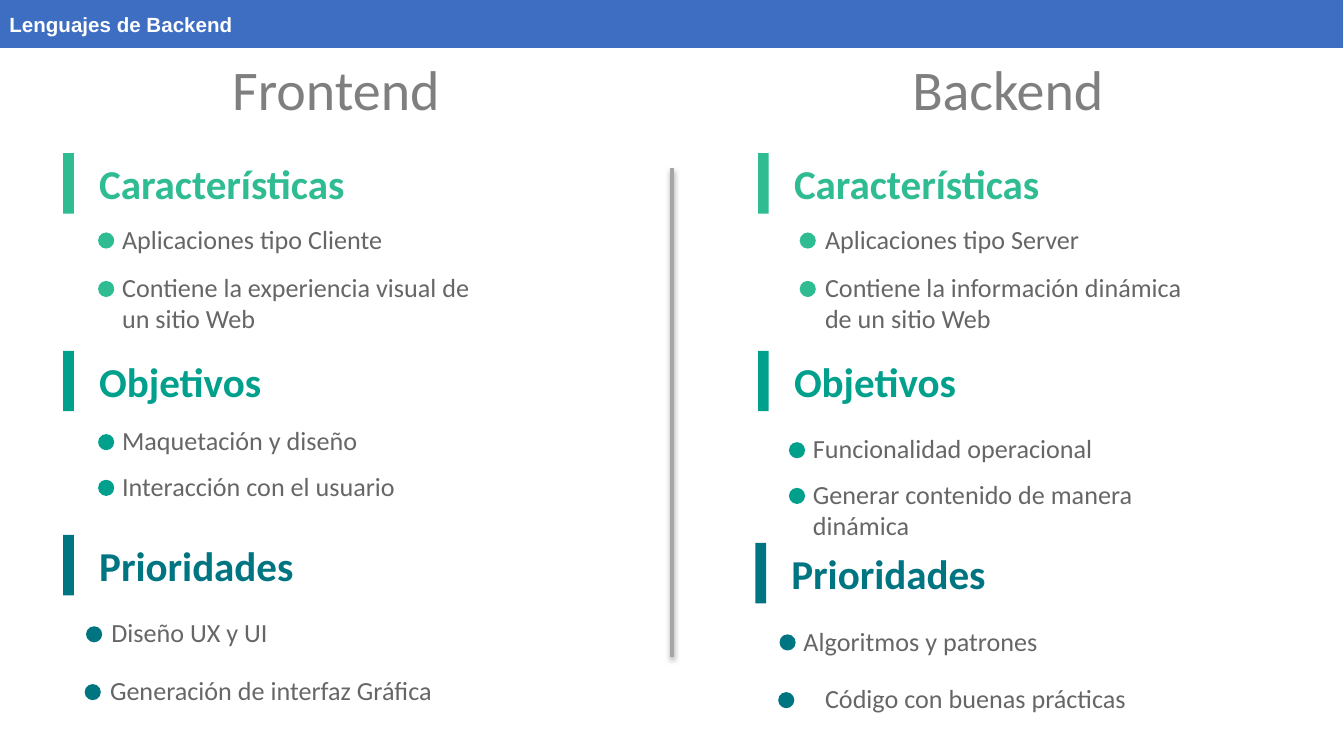
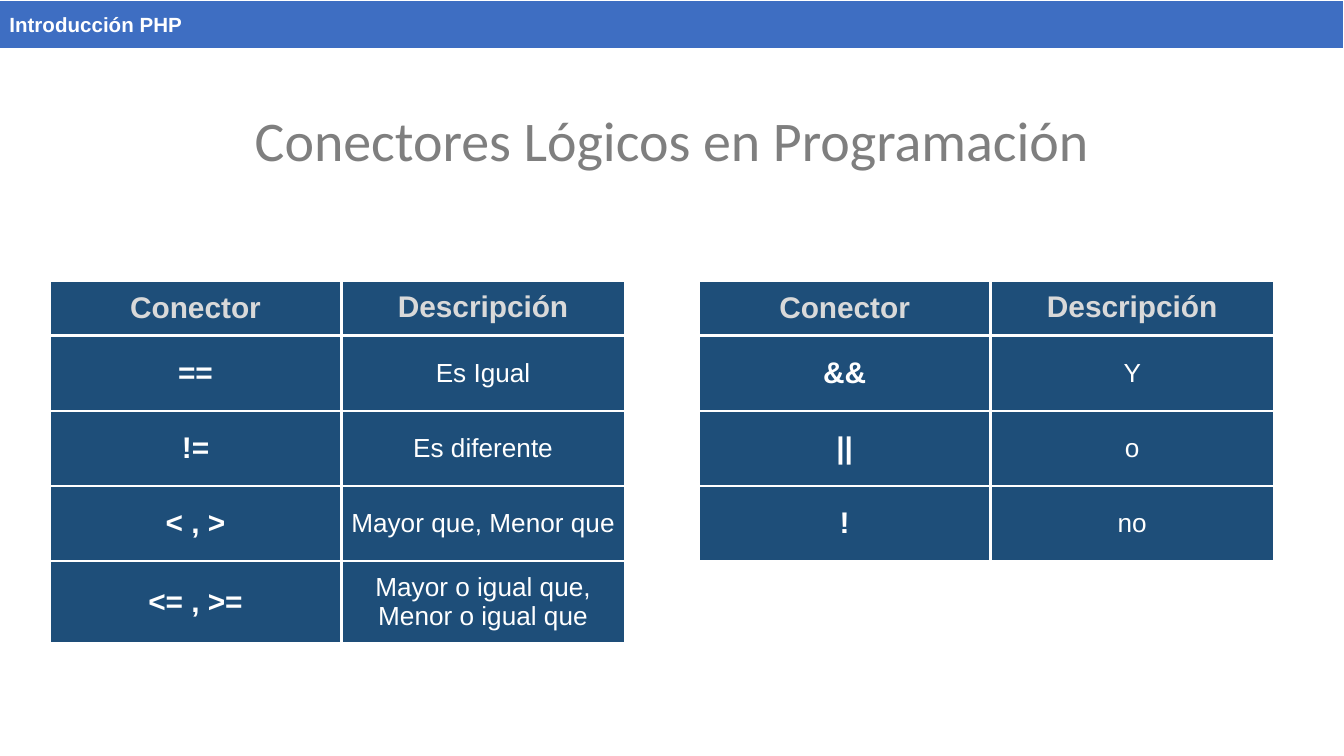
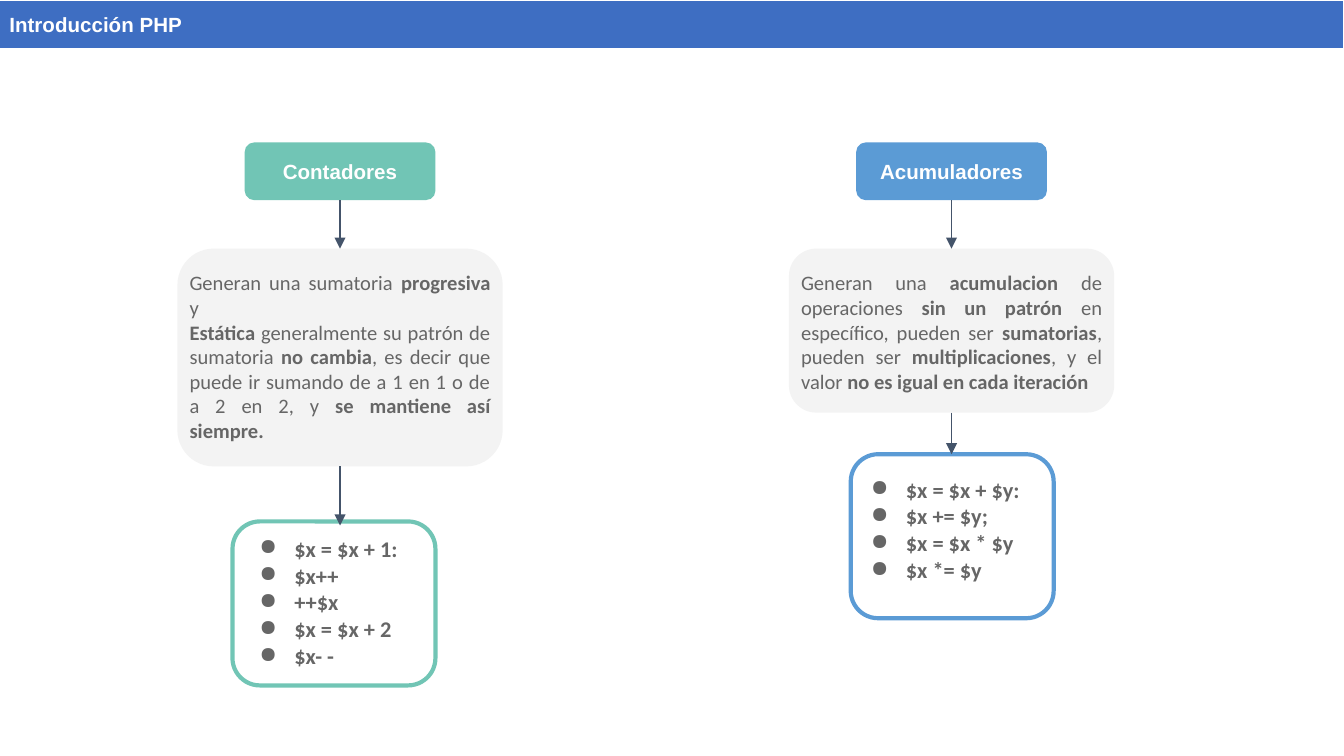
from lxml import etree
from pptx import Presentation
from pptx import util as u
from pptx.dml.color import RGBColor
from pptx.enum import shapes, text
from pptx.oxml import parse_xml
from pptx.oxml.ns import nsdecls, qn

PX = 9144  # EMU in one px, 100 px to the inch
BLUE, NAVY, WHITE = "3E6EC2", "1E4E79", "FFFFFF"
TITLE_GRAY, BODY_GRAY, PALE_GRAY, HEADER_GRAY = "7F7F7F", "666666", "F3F3F3", "D9D9D9"
MINT, TEAL, PETROL = "2FBC92", "00A08C", "007582"
RULE_GRAY, ARROW = "A5A5A5", "44546A"
RECT, ROUND, DOT = (shapes.MSO_SHAPE.RECTANGLE, shapes.MSO_SHAPE.ROUNDED_RECTANGLE,
                    shapes.MSO_SHAPE.OVAL)
CENTER, JUSTIFY = text.PP_ALIGN.CENTER, text.PP_ALIGN.JUSTIFY
MIDDLE = text.MSO_ANCHOR.MIDDLE
color = RGBColor.from_string


def add_box(page, preset, area, fill=None, line=None, weight=0.75):
    area = [n * PX for n in area]
    box = page.shapes.add_shape(preset, *area)
    box.shadow.inherit = False
    if fill:
        box.fill.solid()
        box.fill.fore_color.rgb = color(fill)
    else:
        box.fill.background()
    if line:
        box.line.color.rgb = color(line)
        box.line.width = u.Pt(weight)
    else:
        box.line.fill.background()
    return box


def write(page, area, lines, size, ink, font="Calibri", bold=False, align=None,
          inset=(7, 7), anchor=None, spacing=None, bullet=None, box=None):
    """Write lines into box, or into a new text box; _underscores_ enclose bold words."""
    box = box or page.shapes.add_textbox(*[n * PX for n in area])
    frame = box.text_frame
    frame.word_wrap = True
    frame.margin_left = frame.margin_right = inset[0] * PX
    frame.margin_top = frame.margin_bottom = inset[1] * PX
    if anchor is not None:
        frame.vertical_anchor = anchor
    for i, line in enumerate(lines):
        para = frame.paragraphs[0] if i == 0 else frame.add_paragraph()
        for j, words in enumerate(line.split("_")):
            if words:
                span = para.add_run()
                span.text = words
                if j % 2:
                    span.font.bold = True
        para.alignment = align
        if spacing:
            para.line_spacing = spacing
        if bullet:
            props = para._p.get_or_add_pPr()
            props.set("marL", str(38 * PX))
            props.set("indent", str(-26 * PX))
            tint = etree.SubElement(props, qn("a:buClr"))
            etree.SubElement(tint, qn("a:srgbClr"), val=ink)
            etree.SubElement(props, qn("a:buChar"), char=bullet)
        para.font.name = font
        para.font.size = u.Pt(size)
        para.font.bold = bold
        para.font.color.rgb = color(ink)


deck = Presentation()
deck.slide_width, deck.slide_height = 1000 * PX, u.Emu(5143500)

# Band and title of every slide
headers = [
    ("Lenguajes de Backend", -9, [("Frontend", (0, 35, 500, 67)),
                                  ("Backend", (500, 35, 500, 67))]),
    ("Introducción PHP", 0, [("Conectores Lógicos en Programación", (110, 73, 780, 67))]),
    ("Introducción PHP", 0, []),
]
pages = []
for label, band_top, titles in headers:
    page = deck.slides.add_slide(deck.slide_layouts[6])
    add_box(page, RECT, (-5, band_top, 1005, 36 - band_top), BLUE, WHITE)
    write(page, (0, 5, 1000, 26), [label], 11, WHITE, "Arial", True, inset=(7, 4))
    for title, area in titles:
        write(page, area, [title], 30, TITLE_GRAY, align=CENTER, inset=(7, 4),
              anchor=MIDDLE, spacing=0.9)
    pages.append(page)
compare_page, tables_page, flow_page = pages

# Frontend and backend: heading, bar position, then (dot x, dot y, text gap, item)
sections = [
    ("Características", MINT, 47, 114, [
        (73, 173, 8, "Aplicaciones tipo Cliente"),
        (73, 209, 8, "Contiene la experiencia visual de un sitio Web")]),
    ("Objetivos", TEAL, 47, 261, [
        (73, 323, 8, "Maquetación y diseño"),
        (73, 357, 8, "Interacción con el usuario")]),
    ("Prioridades", PETROL, 47, 398, [
        (64, 466, 9, "Diseño UX y UI"),
        (63, 509, 9, "Generación de interfaz Gráfica")]),
    ("Características", MINT, 564, 114, [
        (595, 173, 9, "Aplicaciones tipo Server"),
        (595, 209, 9, "Contiene la información dinámica de un sitio Web")]),
    ("Objetivos", TEAL, 564, 261, [
        (587, 329, 8, "Funcionalidad operacional"),
        (587, 363, 8, "Generar contenido de manera dinámica")]),
    ("Prioridades", PETROL, 562, 404, [
        (580, 472, 8, "Algoritmos y patrones"),
        (579, 515, 25, "Código con buenas prácticas")]),
]
for heading, tint, left, top, items in sections:
    add_box(compare_page, RECT, (left, top, 8, 45), tint)
    write(compare_page, (left + 17, top - 6, 214, 57), [heading], 22, tint, bold=True,
          inset=(10, 10))
    for dot_x, dot_y, gap, item in items:
        add_box(compare_page, DOT, (dot_x, dot_y, 12, 12), tint)
        write(compare_page, (dot_x + gap, dot_y - 17, 302, 44), [item], 14, BODY_GRAY,
              inset=(10, 10))

# Tables of connectors
HEADINGS = ("Conector", "Descripción")
tables = [
    (37, [HEADINGS, ("==", "Es Igual"), ("!=", "Es diferente"),
          ("< , >", "Mayor que, Menor que"),
          ("<= , >=", "Mayor o igual que, Menor o igual que")]),
    (520, [HEADINGS, ("&&", "Y"), ("||", "o"), ("!", "no")]),
]
for left, rows in tables:
    heights = [37] + [56] * (len(rows) - 1)
    table = tables_page.shapes.add_table(len(rows), 2, left * PX, 209 * PX, 428 * PX,
                                         sum(heights) * PX).table
    table.columns[0].width, table.columns[1].width = 217 * PX, 211 * PX
    for r, row in enumerate(rows):
        table.rows[r].height = heights[r] * PX
        for c, words in enumerate(row):
            cell = table.cell(r, c)
            cell.margin_left = cell.margin_right = 7 * PX
            cell.margin_top = cell.margin_bottom = 7 * PX
            is_top = r == 0 and c == 1
            cell.vertical_anchor = text.MSO_ANCHOR.TOP if is_top else MIDDLE
            for side in ("lnL", "lnR", "lnT", "lnB"):
                cell._tc.get_or_add_tcPr().append(parse_xml(
                    f'<a:{side} {nsdecls("a")} w="{u.Pt(1.5)}"><a:solidFill>'
                    f'<a:srgbClr val="{WHITE}"/></a:solidFill></a:{side}>'))
            cell.fill.solid()
            cell.fill.fore_color.rgb = color(NAVY)
            cell.text = words
            para = cell.text_frame.paragraphs[0]
            para.alignment = CENTER
            is_strong = r == 0 or c == 0
            para.font.name = "Arial"
            para.font.size = u.Pt(16 if is_strong else 14)
            para.font.bold = is_strong
            para.font.color.rgb = color(HEADER_GRAY if r == 0 else WHITE)

# Counters and accumulators: name, colour, left of the note, note height,
# code frame position, code text position, note, code
flows = [
    ("Contadores", "71C5B5", 132, 162, (173, 388), (174, 391),
     ["Generan una sumatoria _progresiva_ y ",
      "_Estática_ generalmente su patrón de sumatoria _no cambia_, es decir que puede ir "
      "sumando de a 1 en 1 o de a 2 en 2, y _se mantiene así siempre._"],
     ["$x = $x + 1:", "$x++", "++$x", "$x = $x + 2", "$x- -"]),
    ("Acumuladores", "5B9BD5", 587, 122, (633, 338), (629, 347),
     ["Generan una _acumulacion_ de operaciones _sin un patrón_ en específico, pueden ser "
      "_sumatorias_, pueden ser _multiplicaciones_, y el valor "
      "_no es igual en cada iteración_"],
     ["$x = $x + $y:", "$x += $y;", "$x = $x * $y", "$x *= $y"]),
]
# Vertical lines: page, x, top, bottom, colour, weight, whether it is an arrow
uprights = [(compare_page, 500, 125, 489, RULE_GRAY, 2, False)]
for name, tint, left, height, frame_at, code_at, note, code in flows:
    add_box(flow_page, ROUND, (*frame_at, 151, 122), line=tint, weight=2.25)
    add_box(flow_page, ROUND, (left, 185, 242, height), PALE_GRAY)
    button = add_box(flow_page, ROUND, (left + 50, 106, 142, 43), tint)
    write(flow_page, None, [name], 11, WHITE, "Arial", True, CENTER, anchor=MIDDLE, box=button)
    write(flow_page, (left + 2, 194, 238, height - 17), note, 11, BODY_GRAY, align=JUSTIFY)
    write(flow_page, (*code_at, 158, 116), code, 12, BODY_GRAY, bold=True, bullet="●")
    code_top = 391 if name == "Contadores" else 338
    for start, end in ((149, 185), (185 + height, code_top)):
        uprights.append((flow_page, left + 121, start, end, ARROW, 0.75, True))

for page, x, start, end, tint, weight, is_arrow in uprights:
    line = page.shapes.add_connector(shapes.MSO_CONNECTOR.STRAIGHT, x * PX, start * PX,
                                     x * PX, end * PX)
    line.line.color.rgb = color(tint)
    line.line.width = u.Pt(weight)
    props = line._element.spPr
    effects = etree.SubElement(props, qn("a:effectLst"))
    if is_arrow:
        etree.SubElement(props.find(qn("a:ln")), qn("a:tailEnd"), type="triangle")
    else:
        shadow = etree.SubElement(effects, qn("a:outerShdw"), blurRad=str(u.Pt(3.1)),
                                  dist=str(u.Pt(1.6)), dir="5400000")
        shade = etree.SubElement(shadow, qn("a:srgbClr"), val="000000")
        etree.SubElement(shade, qn("a:alpha"), val="34000")

deck.save("out.pptx")
